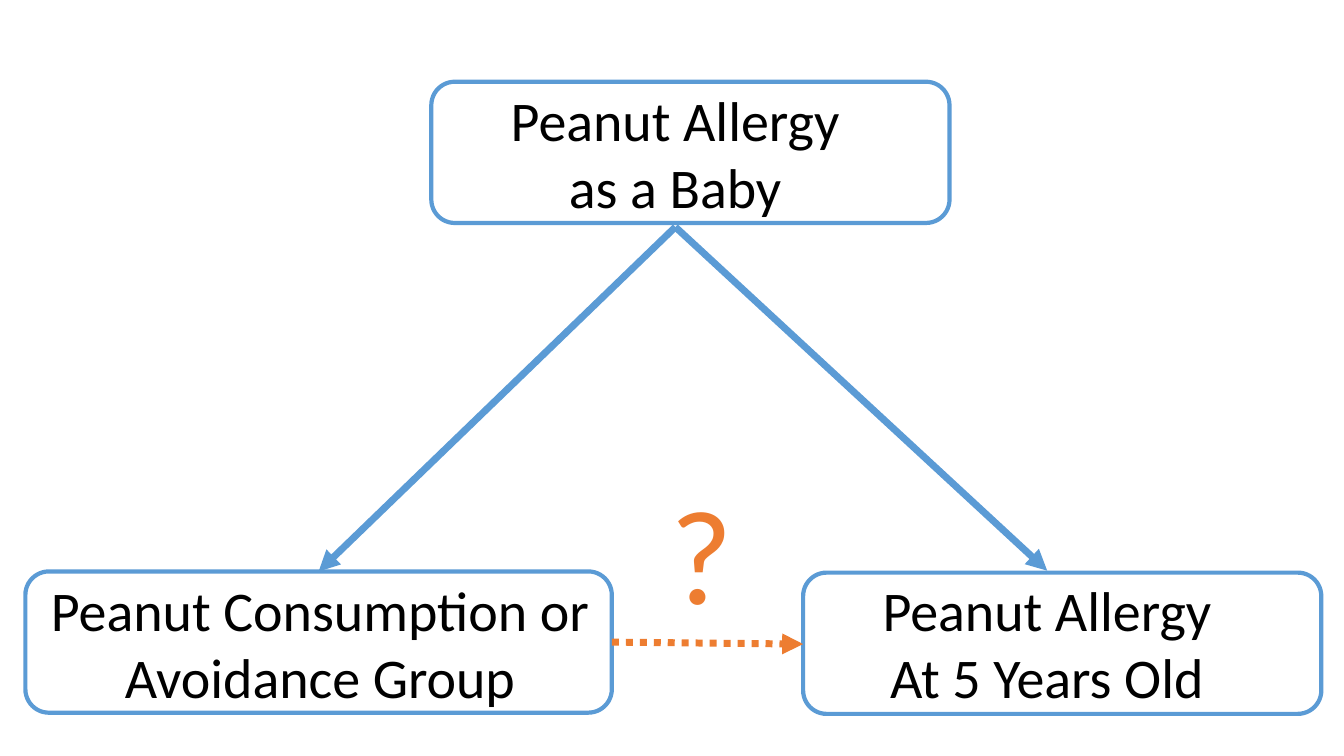
from dataclasses import dataclass

from lxml import etree
from pptx import Presentation
from pptx.dml.color import RGBColor
from pptx.enum.dml import MSO_LINE
from pptx.enum.shapes import MSO_CONNECTOR, MSO_SHAPE
from pptx.enum.text import PP_ALIGN
from pptx.oxml.ns import qn
from pptx.util import Cm, Pt

ROUND = MSO_SHAPE.ROUNDED_RECTANGLE
STRAIGHT = MSO_CONNECTOR.STRAIGHT
DOTS = MSO_LINE.ROUND_DOT  # written to the file as sysDot
CENTER, LEFT = PP_ALIGN.CENTER, PP_ALIGN.LEFT


@dataclass
class Theme:
    font: str = "Calibri"
    label: Pt = Pt(40)
    mark: Pt = Pt(96)
    border: Pt = Pt(3)
    arrow: Pt = Pt(5)
    white: RGBColor = RGBColor(0xFF, 0xFF, 0xFF)
    black: RGBColor = RGBColor(0, 0, 0)
    blue: RGBColor = RGBColor(0x5B, 0x9B, 0xD5)
    orange: RGBColor = RGBColor(0xED, 0x7D, 0x31)


theme = Theme()
prs = Presentation()
prs.slide_width, prs.slide_height = Cm(33.87), Cm(19.05)
slide = prs.slides.add_slide(prs.slide_layouts[6])
shapes = slide.shapes


def add_text(area, lines, size, color, align):
    """Add a text box with one paragraph for each line."""
    frame = shapes.add_textbox(*map(Cm, area)).text_frame
    frame.word_wrap = True
    frame.text = "\n".join(lines)
    for para in frame.paragraphs:
        para.alignment = align
        para.font.name = theme.font
        para.font.size = size
        para.font.color.rgb = color


def add_arrow(start, end, color):
    """Add a straight line with a triangle at its end."""
    line = shapes.add_connector(STRAIGHT, *map(Cm, start + end))
    line.line.color.rgb = color
    line.line.width = theme.arrow
    head = etree.SubElement(line.line._get_or_add_ln(), qn("a:tailEnd"))
    head.set("type", "triangle")
    etree.SubElement(line._element.spPr, qn("a:effectLst"))
    return line


# Box left, top and width; label left, top and width; label lines
box_high, label_high = 3.56, 3.68
nodes = [
    ((10.87, 2.06, 13.06), (10.87, 2.03, 12.29),
     ["Peanut Allergy", "as a Baby"]),
    ((0.64, 14.4, 14.78), (-0.81, 14.38, 17.75),
     ["Peanut Consumption or Avoidance Group"]),
    ((20.24, 14.43, 13.06), (20.24, 14.38, 12.29),
     ["Peanut Allergy", "At 5 Years Old"]),
]
for place, area, lines in nodes:
    box = shapes.add_shape(ROUND, *map(Cm, (*place, box_high)))
    box.shadow.inherit = False
    box.fill.solid()
    box.fill.fore_color.rgb = theme.white
    box.line.color.rgb = theme.blue
    box.line.width = theme.border
    add_text((*area, label_high), lines, theme.label, theme.black, CENTER)

# Known effects of the first allergy
root = (17.02, 5.72)
for end in [(8.03, 14.4), (26.39, 14.38)]:
    add_arrow(root, end, theme.blue)

# Effect in question
link = add_arrow((15.42, 16.18), (20.24, 16.23), theme.orange)
link.line.dash_style = DOTS
add_text((16.66, 11.73, 2.31, 4.37), ["?"], theme.mark, theme.orange, LEFT)

prs.save("out.pptx")
